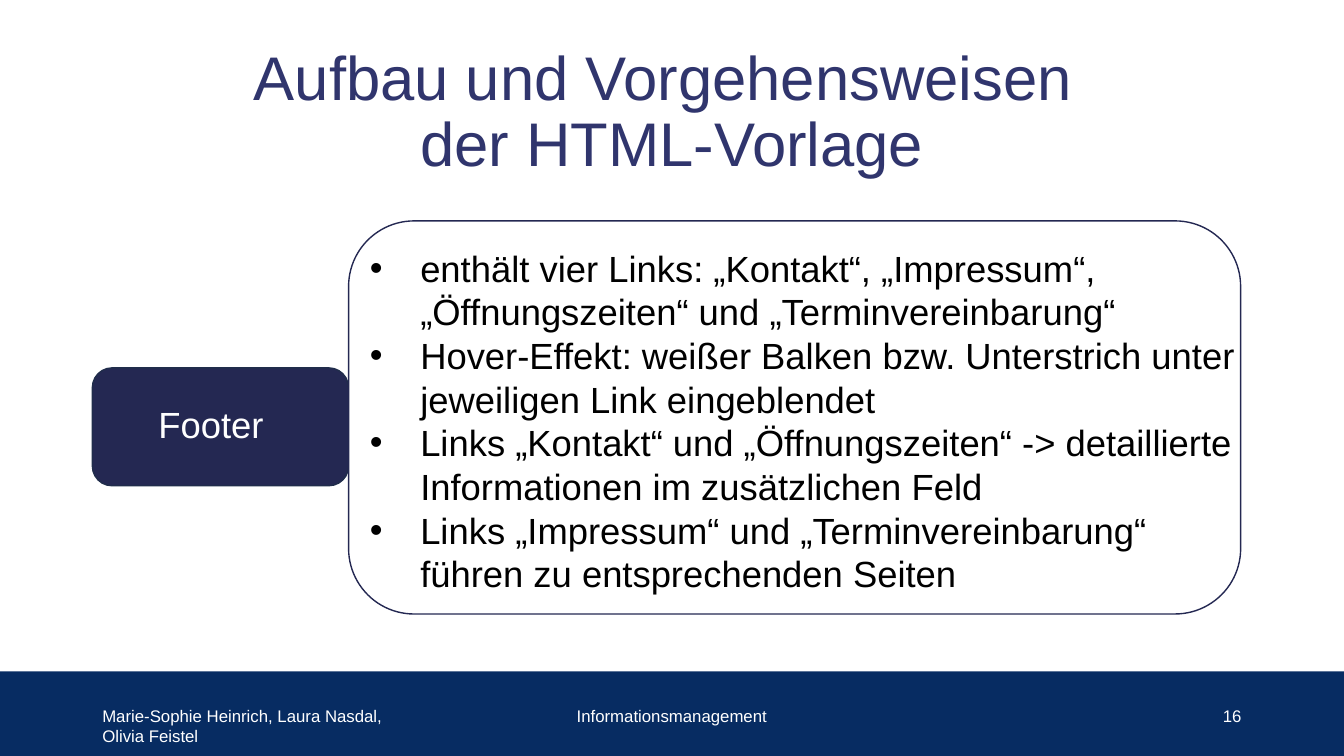
"""Build the slide about the footer of the HTML template."""
import dataclasses
import typing

import pptx
import pptx.dml.color
import pptx.enum.shapes
import pptx.enum.text
import pptx.oxml.ns
import pptx.util
from lxml import etree

Pt = pptx.util.Pt
Align = pptx.enum.text.PP_ALIGN
Anchor = pptx.enum.text.MSO_ANCHOR
Kind = pptx.enum.shapes.MSO_SHAPE

NAVY, INK, EDGE = "072C62", "242852", "202D4B"
WHITE, BLACK, TITLE = "FFFFFF", "000000", "30356D"


@dataclasses.dataclass
class Panel:
    kind: Kind
    area: tuple
    fill: str
    line: typing.Optional[str] = None


@dataclasses.dataclass
class Label:
    text: str
    area: tuple
    size: float = 12
    align: Align = Align.LEFT


PANELS = [
    Panel(Kind.RECTANGLE, (0, 479.5, 960, 60.5), NAVY),
    Panel(Kind.ROUNDED_RECTANGLE, (66, 262.8, 183, 84.2), INK, EDGE),
    Panel(Kind.ROUNDED_RECTANGLE, (249, 157.8, 637.2, 280.8), WHITE, INK),
]

LABELS = [
    Label("Footer", (106, 283.8, 115, 39), 26),
    Label("Marie-Sophie Heinrich, Laura Nasdal, Olivia Feistel", (66, 500.4, 216, 28.8)),
    Label("Informationsmanagement", (318, 500.4, 324, 28.8), align=Align.CENTER),
    Label("16", (678, 500.4, 216, 28.8), align=Align.RIGHT),
]

ITEMS = [
    "enthält vier Links: „Kontakt“, „Impressum“, „Öffnungszeiten“ und „Terminvereinbarung“",
    "Hover-Effekt: weißer Balken bzw. Unterstrich unter jeweiligen Link eingeblendet",
    "Links „Kontakt“ und „Öffnungszeiten“ -> detaillierte Informationen im zusätzlichen Feld",
    "Links „Impressum“ und „Terminvereinbarung“ führen zu entsprechenden Seiten",
]


def paint(form: typing.Any, tone: str) -> None:
    form.rgb = pptx.dml.color.RGBColor.from_string(tone)


def place(shape: typing.Any, area: tuple) -> None:
    shape.left, shape.top, shape.width, shape.height = map(Pt, area)


def mark(para: typing.Any, indent: float) -> None:
    props = para._p.get_or_add_pPr()
    props.set("marL", str(Pt(indent)))
    props.set("indent", str(-Pt(indent)))
    qn = pptx.oxml.ns.qn
    etree.SubElement(props, qn("a:buFont")).set("typeface", "Arial")
    etree.SubElement(props, qn("a:buChar")).set("char", "•")


def write(shape: typing.Any, lines: list, *, size: float, tone: str,
          align: Align = Align.LEFT, anchor: Anchor = Anchor.TOP,
          space: float = 1, indent: float = 0) -> None:
    frame = shape.text_frame
    frame.word_wrap = True
    frame.auto_size = pptx.enum.text.MSO_AUTO_SIZE.NONE
    frame.vertical_anchor = anchor
    for spot, line in enumerate(lines):
        para = frame.add_paragraph() if spot else frame.paragraphs[0]
        para.text = line
        para.alignment = align
        para.line_spacing = space
        para.space_before = Pt(0)
        if indent:
            mark(para, indent)
        for run in para.runs:
            run.font.name, run.font.size = "Arial", Pt(size)
            paint(run.font.color, tone)


def draw(slide: typing.Any, panel: Panel) -> None:
    shape = slide.shapes.add_shape(panel.kind, *map(Pt, panel.area))
    shape.shadow.inherit = False
    shape.fill.solid()
    paint(shape.fill.fore_color, panel.fill)
    if panel.line:
        paint(shape.line.color, panel.line)
        shape.line.width = Pt(1)
    else:
        shape.line.fill.background()


def main() -> None:
    deck = pptx.Presentation()
    deck.slide_width, deck.slide_height = Pt(960), Pt(540)
    slide = deck.slides.add_slide(deck.slide_layouts[1])
    title, body = slide.placeholders

    for panel in PANELS:
        draw(slide, panel)

    place(title, (66, 28.8, 828, 104.4))
    write(title, ["Aufbau und Vorgehensweisen \vder HTML-Vorlage"], size=44,
          tone=TITLE, align=Align.CENTER, anchor=Anchor.MIDDLE, space=0.9)
    place(body, (257, 172, 637.2, 280.8))
    write(body, ITEMS, size=26, tone=BLACK, indent=36)
    for holder in (title, body):
        holder.element.getparent().append(holder.element)

    for label in LABELS:
        box = slide.shapes.add_textbox(*map(Pt, label.area))
        write(box, [label.text], size=label.size, tone=WHITE, align=label.align)

    deck.save("out.pptx")


if __name__ == "__main__":
    main()
